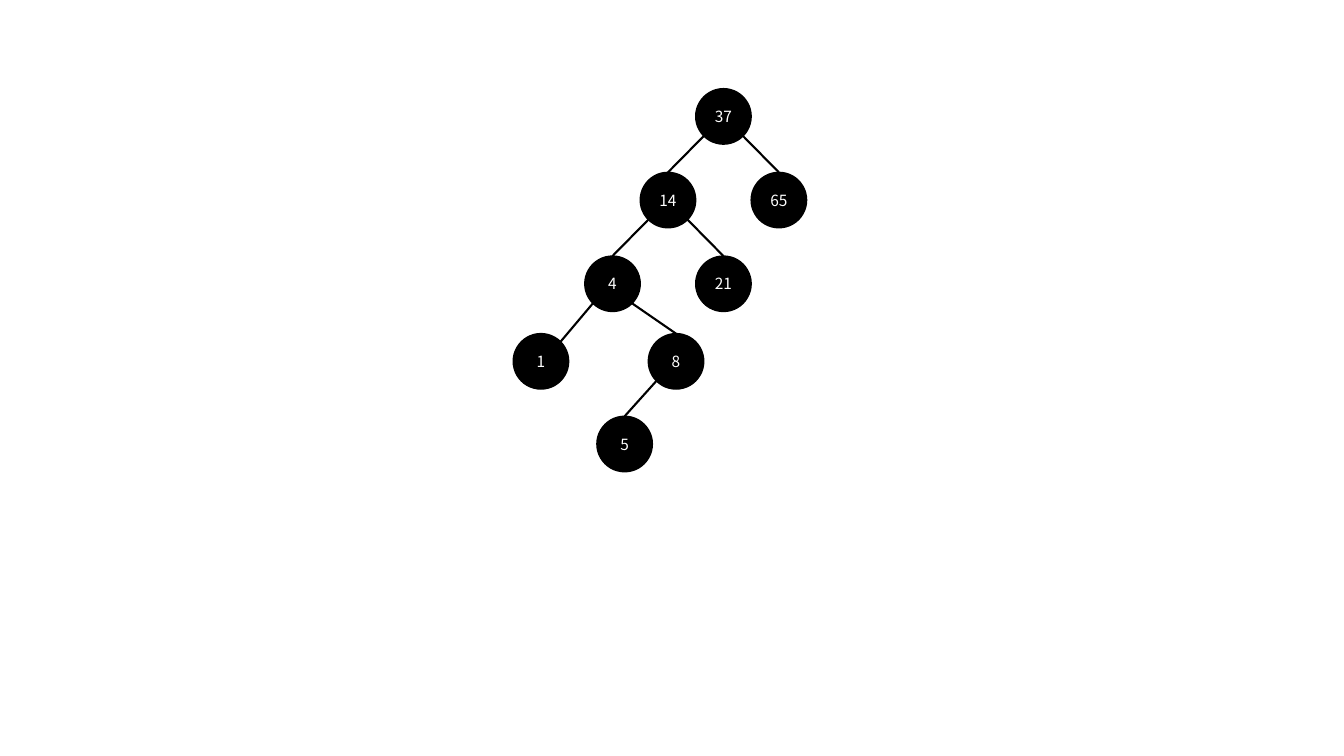
from dataclasses import dataclass
from math import sqrt

from lxml.etree import SubElement
from pptx import Presentation
from pptx.dml.color import RGBColor
from pptx.enum.shapes import MSO_CONNECTOR, MSO_SHAPE
from pptx.enum.text import MSO_ANCHOR, PP_ALIGN
from pptx.oxml.ns import qn
from pptx.util import Inches, Pt


@dataclass(frozen=True)
class Theme:
    ink: RGBColor = RGBColor(0, 0, 0)
    label: RGBColor = RGBColor(255, 255, 255)
    font: str = "Noto Sans CJK KR"
    label_size: Pt = Pt(11)
    outline: Pt = Pt(1)
    branch: Pt = Pt(1.5)


THEME = Theme()
DIAMETER = 0.55
RADIUS = DIAMETER / 2
DIAGONAL = RADIUS / sqrt(2)

TREE_BOX = (5.09, 0.88)
NODES = {
    "37": (1.81, 0),
    "14": (1.26, 0.83),
    "65": (2.36, 0.83),
    "4": (0.71, 1.66),
    "21": (1.81, 1.66),
    "1": (0, 2.43),
    "8": (1.34, 2.43),
    "5": (0.83, 3.25),
}
TOP = (0, -RADIUS)
TOP_RIGHT = (DIAGONAL, -DIAGONAL)
BRANCHES = [
    ("37", "14", TOP),
    ("37", "65", TOP),
    ("14", "4", TOP),
    ("14", "21", TOP),
    ("4", "1", TOP_RIGHT),
    ("4", "8", TOP),
    ("8", "5", TOP),
]


def add_node(slide, left, top, value):
    node = slide.shapes.add_shape(
        MSO_SHAPE.OVAL, Inches(left), Inches(top), Inches(DIAMETER), Inches(DIAMETER)
    )
    node.name = f"Node {value}"
    node.shadow.inherit = False
    node.fill.solid()
    node.fill.fore_color.rgb = THEME.ink
    node.line.color.rgb = THEME.ink
    node.line.width = THEME.outline
    frame = node.text_frame
    frame.text = value
    frame.word_wrap = False
    frame.vertical_anchor = MSO_ANCHOR.MIDDLE
    frame.margin_left = frame.margin_right = frame.margin_top = frame.margin_bottom = 0
    paragraph = frame.paragraphs[0]
    paragraph.alignment = PP_ALIGN.CENTER
    font = paragraph.runs[0].font
    font.name = THEME.font
    font.size = THEME.label_size
    font.color.rgb = THEME.label


def add_branch(slide, start, end):
    points = [Inches(value) for value in (*start, *end)]
    branch = slide.shapes.add_connector(MSO_CONNECTOR.STRAIGHT, *points)
    branch.line.color.rgb = THEME.ink
    branch.line.width = THEME.branch
    SubElement(branch._element.spPr, qn("a:effectLst"))


def add_tree(slide, left, top):
    centers = {
        value: (left + x + RADIUS, top + y + RADIUS) for value, (x, y) in NODES.items()
    }
    for value, (x, y) in NODES.items():
        add_node(slide, left + x, top + y, value)
    for parent, child, (offset_x, offset_y) in BRANCHES:
        parent_x, parent_y = centers[parent]
        child_x, child_y = centers[child]
        side = 1 if child_x > parent_x else -1
        add_branch(
            slide,
            (parent_x + side * DIAGONAL, parent_y + DIAGONAL),
            (child_x + offset_x, child_y + offset_y),
        )


def main():
    presentation = Presentation()
    presentation.slide_width = Inches(13.33)
    presentation.slide_height = Inches(7.5)
    slide = presentation.slides.add_slide(presentation.slide_layouts[6])
    add_tree(slide, *TREE_BOX)
    presentation.save("out.pptx")


if __name__ == "__main__":
    main()
